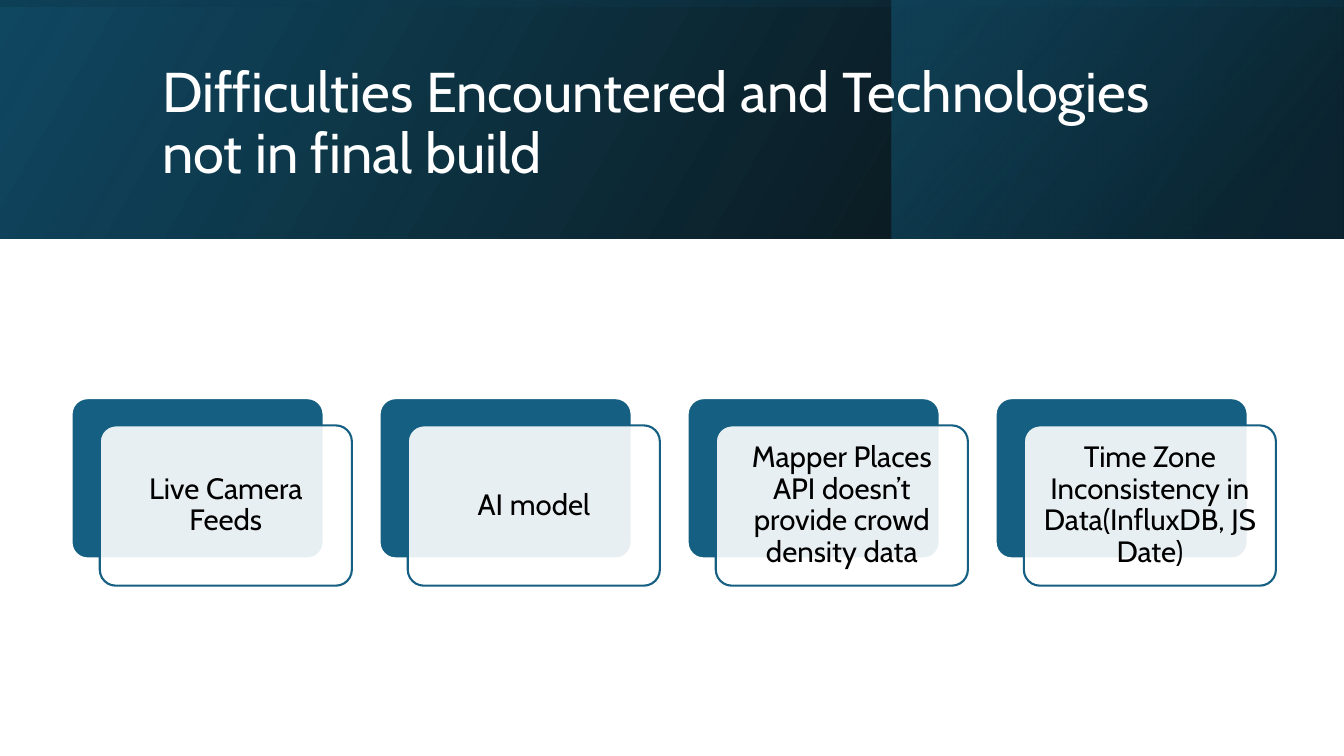
"""Build the slide on difficulties and technologies left out of the final build."""
from dataclasses import dataclass

from lxml.etree import SubElement
from pptx import Presentation
from pptx.dml.color import RGBColor
from pptx.enum.shapes import MSO_SHAPE
from pptx.enum.text import MSO_ANCHOR, PP_ALIGN
from pptx.oxml.ns import qn
from pptx.shapes.autoshape import Shape
from pptx.slide import Slide
from pptx.text.text import TextFrame
from pptx.util import Inches, Pt


@dataclass(frozen=True)
class Theme:
    """Colours, font and type sizes of the slide."""
    font: str = "Cabin"
    accent: str = "156082"
    deep: str = "104862"
    night: str = "0B3041"
    black: str = "000000"
    white: str = "FFFFFF"
    title_size: int = 40
    card_size: int = 21
    outline: float = 1.5


@dataclass(frozen=True)
class Box:
    """A place on the slide in inches."""
    left: float
    top: float
    width: float
    height: float

    def lengths(self) -> list[Inches]:
        """Return the four measures as lengths."""
        return [Inches(v) for v in (self.left, self.top, self.width, self.height)]


@dataclass(frozen=True)
class Stop:
    """A gradient stop with position and opacity in percent."""
    position: int
    color: str
    opacity: int


@dataclass(frozen=True)
class Band:
    """A mirrored gradient layer of the header."""
    box: Box
    angle: int
    stops: tuple[Stop, Stop]
    rotation: int = 0


THEME = Theme()
BANDS = (
    Band(Box(0, 0, 13.33, 2.37), 330,
         (Stop(0, THEME.black, 96), Stop(100, THEME.deep, 100))),
    Band(Box(8.84, 0, 4.48, 2.37), 320,
         (Stop(19, THEME.night, 68), Stop(100, THEME.accent, 48))),
    Band(Box(5.48, -5.48, 2.37, 13.33), 350,
         (Stop(23, THEME.deep, 16), Stop(99, THEME.black, 45)), 270),
)
TITLE = "Difficulties Encountered and Technologies not in final build"
TITLE_BOX = Box(1.51, 0.38, 10.63, 1.72)
DIFFICULTIES = (
    "Live Camera Feeds",
    "AI model",
    "Mapper Places API doesn’t provide crowd density data",
    "Time Zone Inconsistency in Data(InfluxDB, JS Date)",
)
FIRST_CARD = Box(0.71, 3.95, 2.5, 1.59)
CARD_PITCH = 3.055
FRONT_SHIFT = (0.28, 0.27)
CARD_INSET = 0.09


def add_band(slide: Slide, band: Band) -> None:
    """Draw one gradient layer of the header."""
    layer = slide.shapes.add_shape(MSO_SHAPE.RECTANGLE, *band.box.lengths())
    layer.shadow.inherit = False
    layer.line.fill.background()
    layer.rotation = band.rotation
    layer.fill.gradient()
    properties = layer._element.spPr
    properties.find(qn("a:xfrm")).set("flipH", "1")
    gradient = properties.find(qn("a:gradFill"))
    gradient.set("rotWithShape", "1")
    gradient.find(qn("a:lin")).set("ang", str(band.angle * 60000))
    stop_list = gradient.find(qn("a:gsLst"))
    for old_stop in list(stop_list):
        stop_list.remove(old_stop)
    for stop in band.stops:
        entry = SubElement(stop_list, qn("a:gs"), pos=str(stop.position * 1000))
        color = SubElement(entry, qn("a:srgbClr"), val=stop.color)
        SubElement(color, qn("a:alpha"), val=str(stop.opacity * 1000))


def write(frame: TextFrame, text: str, size: int, color: str, align: PP_ALIGN) -> None:
    """Set and format a single vertically centred paragraph."""
    frame.word_wrap = True
    frame.vertical_anchor = MSO_ANCHOR.MIDDLE
    frame.text = text
    paragraph = frame.paragraphs[0]
    paragraph.alignment = align
    paragraph.line_spacing = 0.9
    font = paragraph.runs[0].font
    font.name = THEME.font
    font.size = Pt(size)
    font.color.rgb = RGBColor.from_string(color)


def add_panel(slide: Slide, box: Box, fill: str, line: str) -> Shape:
    """Draw one rounded panel of a card."""
    panel = slide.shapes.add_shape(MSO_SHAPE.ROUNDED_RECTANGLE, *box.lengths())
    panel.adjustments[0] = 0.1
    panel.shadow.inherit = False
    panel.fill.solid()
    panel.fill.fore_color.rgb = RGBColor.from_string(fill)
    panel.line.color.rgb = RGBColor.from_string(line)
    panel.line.width = Pt(THEME.outline)
    return panel


def add_card(slide: Slide, index: int, difficulty: str) -> None:
    """Draw a solid back panel and a translucent front panel with its text."""
    left = FIRST_CARD.left + index * CARD_PITCH
    top, width, height = FIRST_CARD.top, FIRST_CARD.width, FIRST_CARD.height
    add_panel(slide, Box(left, top, width, height), THEME.accent, THEME.white)
    front_box = Box(left + FRONT_SHIFT[0], top + FRONT_SHIFT[1], width, height)
    front = add_panel(slide, front_box, THEME.white, THEME.accent)
    color = front._element.spPr.find(qn("a:solidFill")).find(qn("a:srgbClr"))
    SubElement(color, qn("a:alpha"), val="90000")
    frame = front.text_frame
    frame.margin_left = frame.margin_right = Inches(CARD_INSET)
    frame.margin_top = frame.margin_bottom = Inches(CARD_INSET)
    write(frame, difficulty, THEME.card_size, THEME.black, PP_ALIGN.CENTER)


def main() -> None:
    """Build and save the presentation."""
    presentation = Presentation()
    presentation.slide_width = Inches(13.33)
    presentation.slide_height = Inches(7.5)
    slide = presentation.slides.add_slide(presentation.slide_layouts[6])
    for band in BANDS:
        add_band(slide, band)
    title = slide.shapes.add_textbox(*TITLE_BOX.lengths())
    write(title.text_frame, TITLE, THEME.title_size, THEME.white, PP_ALIGN.LEFT)
    for index, difficulty in enumerate(DIFFICULTIES):
        add_card(slide, index, difficulty)
    presentation.save("out.pptx")


if __name__ == "__main__":
    main()
